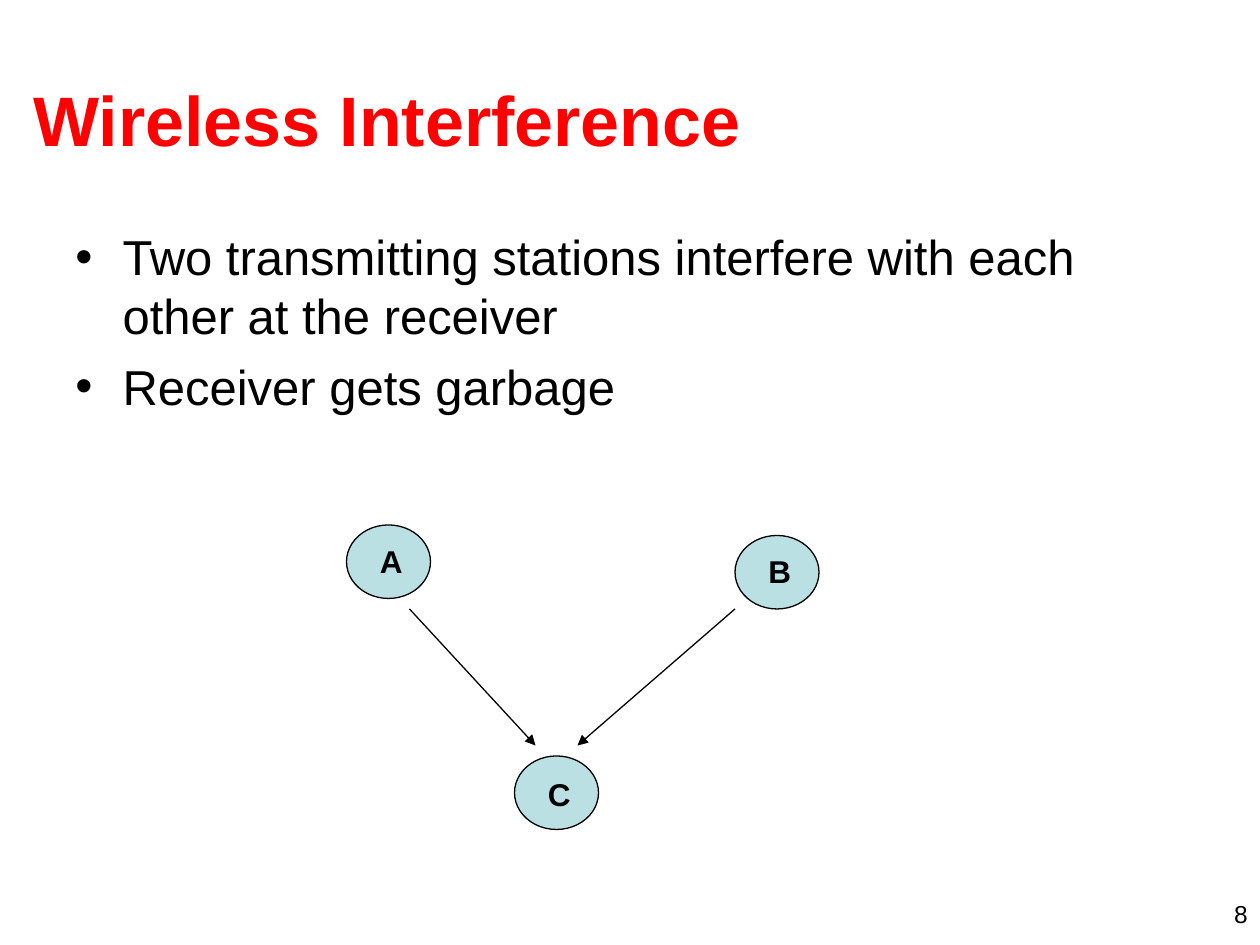
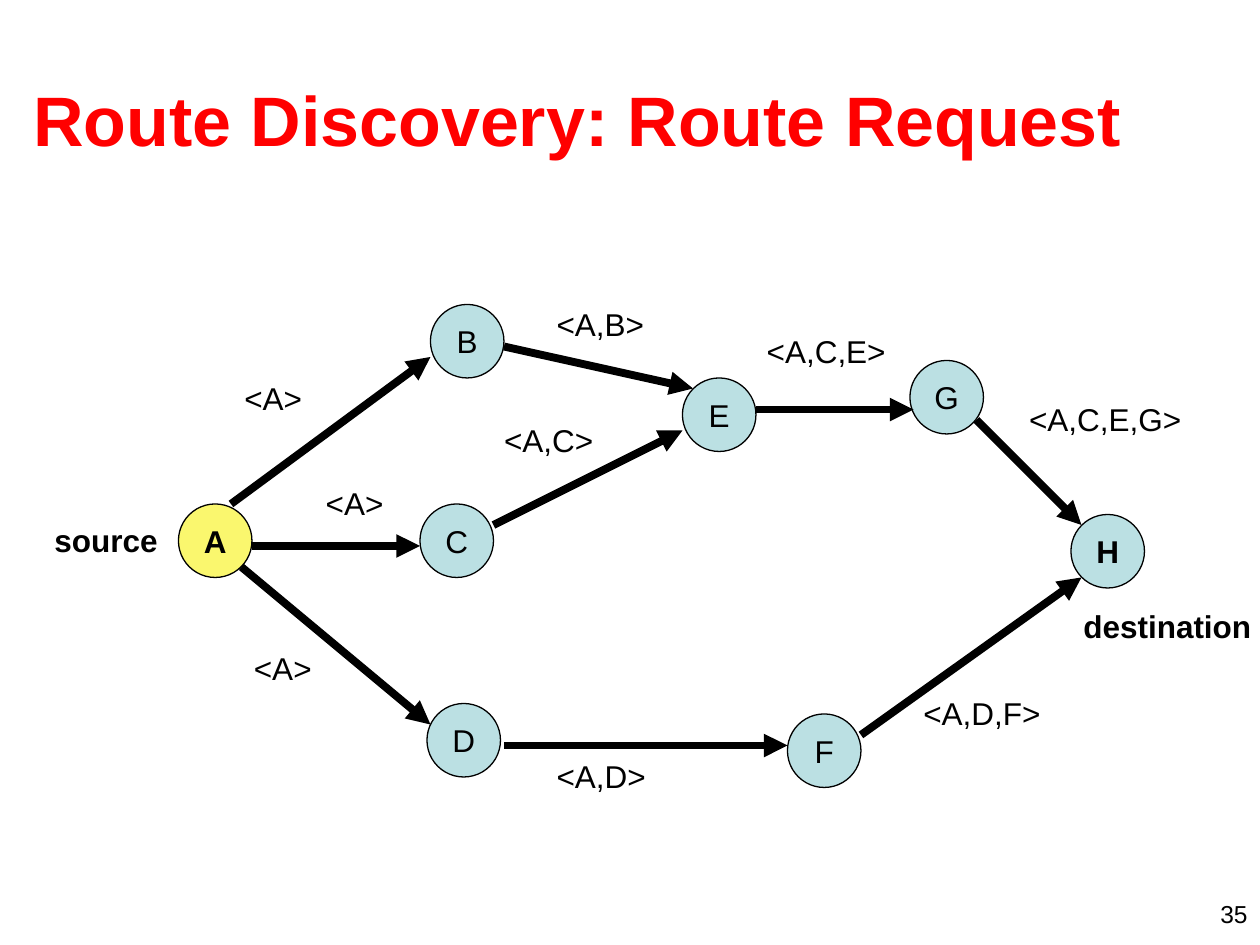
from pptx import Presentation
from pptx.dml.color import RGBColor
from pptx.enum.shapes import MSO_CONNECTOR, MSO_SHAPE
from pptx.enum.text import MSO_ANCHOR, PP_ALIGN
from pptx.oxml.ns import qn
from pptx.util import Pt
from lxml.etree import SubElement

RED = RGBColor(0xFF, 0x00, 0x00)
BLACK = RGBColor(0x00, 0x00, 0x00)
PALE_BLUE = RGBColor(0xBB, 0xE0, 0xE3)
YELLOW = RGBColor(0xFA, 0xF7, 0x6E)
FONT = "Arial"


def write_text(sp, text, size=18, bold=False, color=BLACK, align=PP_ALIGN.LEFT,
               anchor=MSO_ANCHOR.TOP, wrap=True, bullet=False, space=0):
    """Fill a shape with one paragraph per line of text."""
    tf = sp.text_frame
    tf.word_wrap = wrap
    tf.vertical_anchor = anchor
    for i, line in enumerate(text.split("\n")):
        p = tf.add_paragraph() if i else tf.paragraphs[0]
        p.alignment = align
        if i:
            p.space_before = Pt(space)
        if bullet:
            pPr = p._p.get_or_add_pPr()
            pPr.set("marL", str(Pt(27)))
            pPr.set("indent", str(Pt(-27)))
            SubElement(pPr, qn("a:buFont"), typeface=FONT)
            SubElement(pPr, qn("a:buChar"), char="•")
        r = p.add_run()
        r.text = line
        r.font.name = FONT
        r.font.size = Pt(size)
        r.font.bold = bold
        r.font.color.rgb = color


# Interference: stations A and B both send to C
stations = [(198, 300), (420, 306), (294, 432)]
interference = {
    "title": "Wireless Interference",
    "number": "8",
    "body": "Two transmitting stations interfere with each other at the receiver\n"
            "Receiver gets garbage",
    "node_size": (48, 42),
    "nodes": [(x, y, "", PALE_BLUE, False) for x, y in stations],
    "arrow_width": 0.75,
    "arrows": [(234, 348, 306, 426), (420, 348, 330, 426)],
    # left, top, width, text, bold
    "labels": [(210, 306, 18, "A", True),
               (432, 312, 18, "B", True),
               (306, 439.5, 18, "C", True)],
}

# Route request: flooded from source A to destination H
route_request = {
    "title": "Route Discovery: Route Request",
    "number": "35",
    "body": None,
    "node_size": (42, 42),
    "nodes": [(102, 288, "A", YELLOW, True),
              (246, 174, "B", PALE_BLUE, False),
              (240, 288, "C", PALE_BLUE, False),
              (244, 402, "D", PALE_BLUE, False),
              (390, 216, "E", PALE_BLUE, False),
              (450, 408, "F", PALE_BLUE, False),
              (520, 206, "G", PALE_BLUE, False),
              (612, 294, "H", PALE_BLUE, True)],
    "arrow_width": 4.5,
    "arrows": [(132, 288, 246, 204), (144, 312, 240, 312), (138, 324, 246, 414),
               (288, 198, 396, 222), (282, 300, 390, 246), (288, 426, 450, 426),
               (432, 234, 522, 234), (492, 420, 618, 330), (558, 240, 618, 300)],
    "labels": [(132.5, 213, 49, "<A>", False),
               (179, 273, 49, "<A>", False),
               (138, 367.5, 49, "<A>", False),
               (311, 171, 67, "<A,B>", False),
               (281, 237, 67, "<A,C>", False),
               (311, 429, 67, "<A,D>", False),
               (431, 186, 84, "<A,C,E>", False),
               (520.5, 393, 84, "<A,D,F>", False),
               (581, 225, 103, "<A,C,E,G>", False),
               (24, 294, 75, "source", True),
               (612, 343.5, 112, "destination", True)],
}

prs = Presentation()
prs.slide_width, prs.slide_height = Pt(720), Pt(540)

for content in (interference, route_request):
    s = prs.slides.add_slide(prs.slide_layouts[6])

    # Title and page number
    sp = s.shapes.add_textbox(Pt(12), Pt(23), Pt(690), Pt(90))
    write_text(sp, content["title"], size=40, bold=True, color=RED,
               anchor=MSO_ANCHOR.MIDDLE)
    sp = s.shapes.add_textbox(Pt(552), Pt(510), Pt(168), Pt(18))
    write_text(sp, content["number"], size=14, align=PP_ALIGN.RIGHT)

    # Bullets
    if content["body"]:
        sp = s.shapes.add_textbox(Pt(36), Pt(126), Pt(648), Pt(132))
        write_text(sp, content["body"], size=28, bullet=True, space=7)

    # Network nodes
    width, height = content["node_size"]
    for x, y, name, fill, bold in content["nodes"]:
        sp = s.shapes.add_shape(MSO_SHAPE.OVAL, Pt(x), Pt(y), Pt(width), Pt(height))
        sp.shadow.inherit = False
        sp.fill.solid()
        sp.fill.fore_color.rgb = fill
        sp.line.color.rgb = BLACK
        sp.line.width = Pt(0.75)
        if name:
            write_text(sp, name, bold=bold, align=PP_ALIGN.CENTER,
                       anchor=MSO_ANCHOR.MIDDLE, wrap=False)

    # Transmissions
    for x1, y1, x2, y2 in content["arrows"]:
        arrow = s.shapes.add_connector(MSO_CONNECTOR.STRAIGHT,
                                       Pt(x1), Pt(y1), Pt(x2), Pt(y2))
        arrow.line.color.rgb = BLACK
        arrow.line.width = Pt(content["arrow_width"])
        SubElement(arrow.line._get_or_add_ln(), qn("a:tailEnd"), type="triangle")
        SubElement(arrow._element.spPr, qn("a:effectLst"))

    # Labels
    for x, y, label_width, text, bold in content["labels"]:
        sp = s.shapes.add_textbox(Pt(x), Pt(y), Pt(label_width), Pt(29))
        write_text(sp, text, bold=bold)

prs.save("out.pptx")
